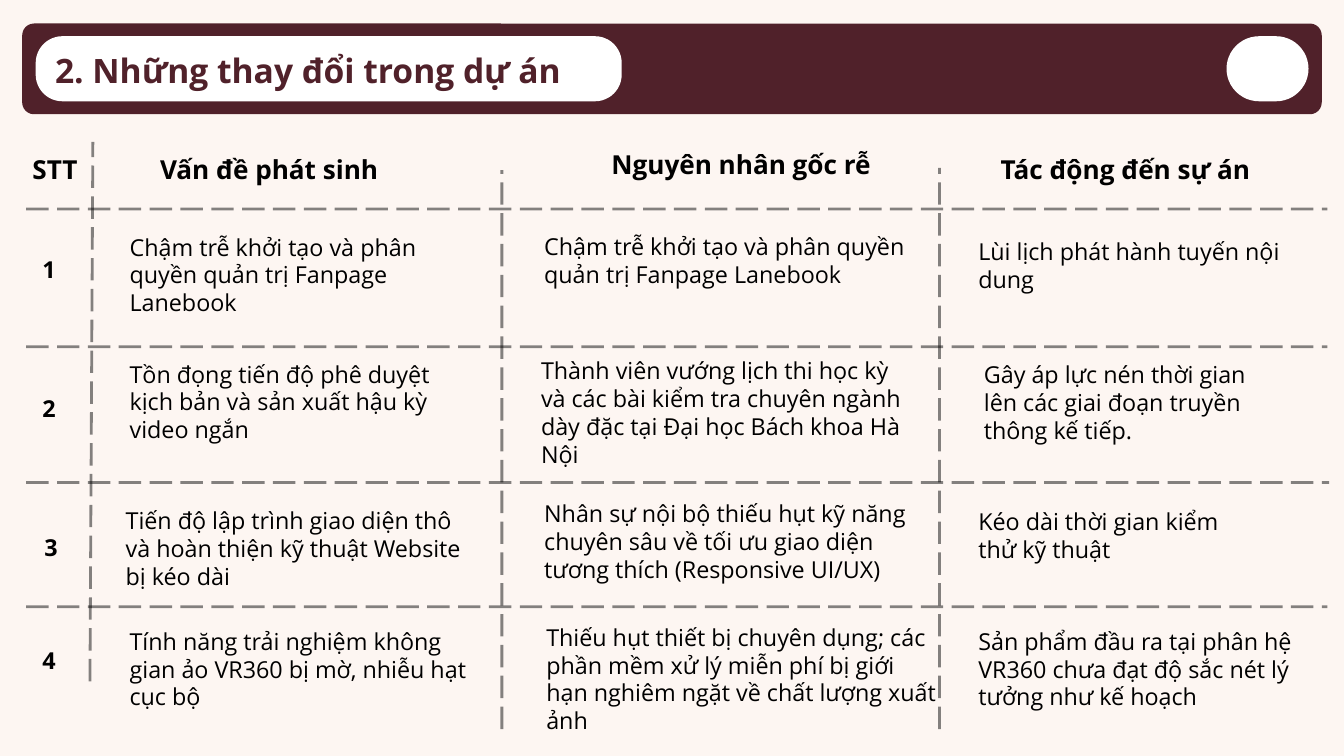
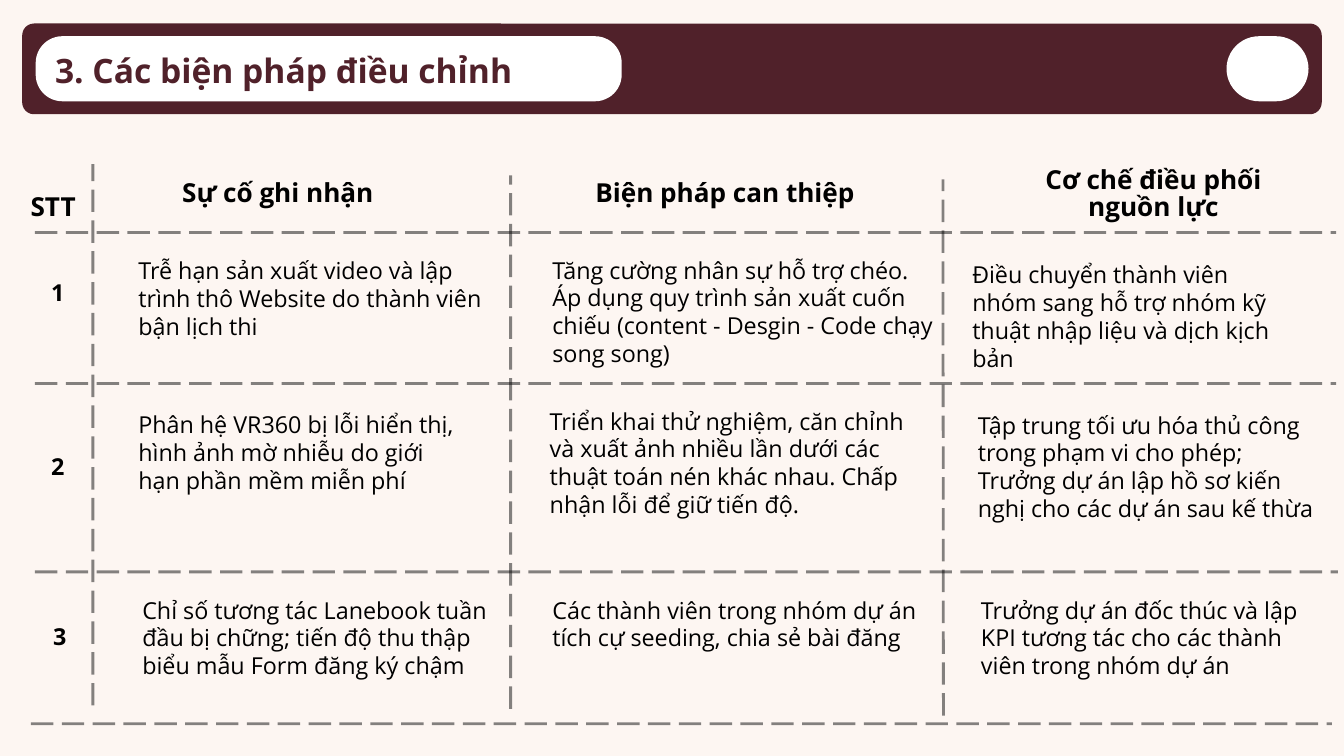
from lxml import etree
from pptx import Presentation
from pptx.dml.color import RGBColor
from pptx.enum.dml import MSO_LINE
from pptx.enum.shapes import MSO_CONNECTOR, MSO_SHAPE
from pptx.enum.text import MSO_ANCHOR, MSO_AUTO_SIZE, PP_ALIGN
from pptx.oxml.ns import qn
from pptx.util import Cm, Pt

ROUNDED = MSO_SHAPE.ROUNDED_RECTANGLE
STRAIGHT = MSO_CONNECTOR.STRAIGHT
LONG_DASH = MSO_LINE.LONG_DASH
TOP = MSO_ANCHOR.TOP
GROW = MSO_AUTO_SIZE.SHAPE_TO_FIT_TEXT
LEFT, CENTER = PP_ALIGN.LEFT, PP_ALIGN.CENTER

FONT = "Open Sans"
COLORS = {"background": "FDF6F2", "maroon": "50212A", "white": "FFFFFF", "black": "000000"}
LINE_HEIGHT = 1.04  # cm per line of table text

# Title bar: left, top, width, height, corner, colour
TITLE_BAR = [
    (0.84, 0.89, 49.12, 3.43, 0.13, "maroon"),
    (46.36, 1.37, 3.1, 2.46, 0.5, "white"),
    (1.35, 1.37, 22.15, 2.46, 0.41, "white"),
]

# Rules: x1, y1, x2, y2
# Headers and cells: left, top, width, number of lines, text
# Row numbers: left, top
SLIDES = [
    {
        "title": "2. Những thay đổi trong dự án",
        "rules": [
            (0.99, 7.9, 50.17, 7.9),
            (0.99, 13.11, 50.17, 13.11),
            (0.99, 18.24, 50.24, 18.24),
            (0.99, 22.94, 50.17, 22.94),
            (3.4, 25.76, 3.51, 5.36),
            (18.97, 27.56, 18.97, 6.43),
            (35.51, 27.56, 35.51, 6.35),
        ],
        "headers": [
            (0.3, 5.94, 3.56, 1, "STT"),
            (5.56, 5.94, 9.22, 1, "Vấn đề phát sinh"),
            (22.23, 5.77, 11.56, 1, "Nguyên nhân gốc rễ"),
            (37.29, 5.94, 10.49, 1, "Tác động đến sự án"),
        ],
        "numbers": [(1.6, 9.65), (1.6, 14.91), (1.68, 20.17), (1.6, 24.43)],
        "cells": [
            (4.9, 8.81, 13.56, 3, "Chậm trễ khởi tạo và phân quyền quản trị Fanpage Lanebook"),
            (20.57, 8.79, 14.02, 3, "Chậm trễ khởi tạo và phân quyền quản trị Fanpage Lanebook"),
            (36.98, 8.97, 11.86, 2, "Lùi lịch phát hành tuyến nội dung"),
            (4.9, 13.61, 12.4, 3,
             "Tồn đọng tiến độ phê duyệt kịch bản và sản xuất hậu kỳ video ngắn"),
            (20.45, 13.49, 14.15, 4,
             "Thành viên vướng lịch thi học kỳ và các bài kiểm tra chuyên ngành "
             "dày đặc tại Đại học Bách khoa Hà Nội"),
            (37.19, 13.64, 11.38, 3,
             "Gây áp lực nén thời gian lên các giai đoạn truyền thông kế tiếp."),
            (4.75, 19.15, 13.41, 3,
             "Tiến độ lập trình giao diện thô và hoàn thiện kỹ thuật Website bị kéo dài"),
            (20.57, 18.9, 14.88, 3,
             "Nhân sự nội bộ thiếu hụt kỹ năng chuyên sâu về tối ưu giao diện "
             "tương thích (Responsive UI/UX)"),
            (36.98, 19.18, 10.54, 2, "Kéo dài thời gian kiểm thử kỹ thuật"),
            (4.9, 23.72, 13.23, 3,
             "Tính năng trải nghiệm không gian ảo VR360 bị mờ, nhiễu hạt cục bộ"),
            (20.65, 23.57, 14.83, 4,
             "Thiếu hụt thiết bị chuyên dụng; các phần mềm xử lý miễn phí bị giới hạn "
             "nghiêm ngặt về chất lượng xuất ảnh"),
            (36.98, 23.72, 11.94, 3,
             "Sản phẩm đầu ra tại phân hệ VR360 chưa đạt độ sắc nét lý tưởng như kế hoạch"),
        ],
    },
    {
        "title": "3. Các biện pháp điều chỉnh",
        "rules": [
            (1.32, 8.79, 50.5, 8.79),
            (1.32, 14.5, 50.5, 14.5),
            (1.32, 21.62, 50.57, 21.62),
            (1.17, 27.36, 50.34, 27.36),
            (3.51, 26.67, 3.51, 6.2),
            (19.3, 26.8, 19.3, 6.63),
            (35.66, 27.05, 35.64, 6.78),
        ],
        "headers": [
            (0.23, 7.34, 3.56, 1, "STT"),
            (5.89, 6.83, 9.22, 1, "Sự cố ghi nhận"),
            (21.62, 6.83, 11.56, 1, "Biện pháp can thiệp"),
            (38.35, 6.32, 10.49, 2, "Cơ chế điều phối nguồn lực"),
        ],
        "numbers": [(1.93, 10.54), (1.93, 17.12), (2.01, 23.55)],
        "cells": [
            (5.23, 9.7, 13.23, 3,
             "Trễ hạn sản xuất video và lập trình thô Website do thành viên bận lịch thi"),
            (20.88, 9.68, 14.73, 4,
             "Tăng cường nhân sự hỗ trợ chéo. Áp dụng quy trình sản xuất cuốn chiếu "
             "(content - Desgin - Code chạy song song)"),
            (36.75, 9.86, 12.07, 4,
             "Điều chuyển thành viên nhóm sang hỗ trợ nhóm kỹ thuật nhập liệu và dịch kịch bản"),
            (5.23, 15.52, 12.4, 3,
             "Phân hệ VR360 bị lỗi hiển thị, hình ảnh mờ nhiễu do giới hạn phần mềm miễn phí"),
            (20.78, 15.39, 14.15, 4,
             "Triển khai thử nghiệm, căn chỉnh và xuất ảnh nhiều lần dưới các thuật toán nén "
             "khác nhau. Chấp nhận lỗi để giữ tiến độ."),
            (36.96, 15.54, 13.03, 5,
             "Tập trung tối ưu hóa thủ công trong phạm vi cho phép; Trưởng dự án lập hồ sơ "
             "kiến nghị cho các dự án sau kế thừa"),
            (5.38, 22.53, 13.41, 4,
             "Chỉ số tương tác Lanebook tuần đầu bị chững; tiến độ thu thập biểu mẫu Form "
             "đăng ký chậm"),
            (20.88, 22.53, 14.02, 3,
             "Các thành viên trong nhóm dự án tích cự seeding, chia sẻ bài đăng"),
            (37.08, 22.53, 13.03, 3,
             "Trưởng dự án đốc thúc và lập KPI tương tác cho các thành viên trong nhóm dự án"),
        ],
    },
]


def format_text(shape, text, size, spacing, color="black", bold=False, alignment=LEFT):
    frame = shape.text_frame
    frame.margin_left = frame.margin_right = frame.margin_top = frame.margin_bottom = 0
    frame.word_wrap = True
    frame.auto_size = GROW
    frame.vertical_anchor = TOP
    frame.text = text
    paragraph = frame.paragraphs[0]
    paragraph.alignment = alignment
    paragraph.line_spacing = Pt(spacing)
    paragraph.font.name = FONT
    paragraph.font.size = Pt(size)
    paragraph.font.bold = bold
    paragraph.font.color.rgb = RGBColor.from_string(COLORS[color])


def add_text(slide, left, top, width, lines, text, **style):
    box = slide.shapes.add_textbox(Cm(left), Cm(top), Cm(width), Cm(lines * LINE_HEIGHT))
    format_text(box, text, **style)


header_style = {"size": 28, "spacing": 29.4, "bold": True, "alignment": CENTER}
cell_style = {"size": 25, "spacing": 29.7}

presentation = Presentation()
presentation.slide_width, presentation.slide_height = Cm(50.8), Cm(28.58)
background = presentation.slide_master.background.fill
background.solid()
background.fore_color.rgb = RGBColor.from_string(COLORS["background"])
title_only = presentation.slide_layouts[5]

for content in SLIDES:
    slide = presentation.slides.add_slide(title_only)

    # Title bar
    for left, top, width, height, corner, color in TITLE_BAR:
        shape = slide.shapes.add_shape(ROUNDED, Cm(left), Cm(top), Cm(width), Cm(height))
        shape.adjustments[0] = corner
        shape.shadow.inherit = False
        shape.fill.solid()
        shape.fill.fore_color.rgb = RGBColor.from_string(COLORS[color])
        shape.line.fill.background()

    # Title, brought in front of its bar
    title = slide.shapes.title
    title.left, title.top, title.width, title.height = Cm(2.08), Cm(1.65), Cm(21.54), Cm(1.7)
    format_text(title, content["title"], 36, 50.4, "maroon", True)
    title.element.getparent().append(title.element)

    # Dashed, half-transparent grid rules
    for x1, y1, x2, y2 in content["rules"]:
        rule = slide.shapes.add_connector(STRAIGHT, Cm(x1), Cm(y1), Cm(x2), Cm(y2))
        rule.line.width = Pt(3)
        rule.line.color.rgb = RGBColor.from_string(COLORS["black"])
        rule.line.dash_style = LONG_DASH
        properties = rule.element.spPr
        color_element = next(properties.iter(qn("a:srgbClr")))
        etree.SubElement(color_element, qn("a:alpha")).set("val", "48000")
        etree.SubElement(properties, qn("a:effectLst"))

    # Headers, row numbers and cells
    for header in content["headers"]:
        add_text(slide, *header, **header_style)
    for number, (left, top) in enumerate(content["numbers"], start=1):
        add_text(slide, left, top, 1.1, 1, str(number), bold=True, **cell_style)
    for cell in content["cells"]:
        add_text(slide, *cell, **cell_style)

presentation.save("out.pptx")
